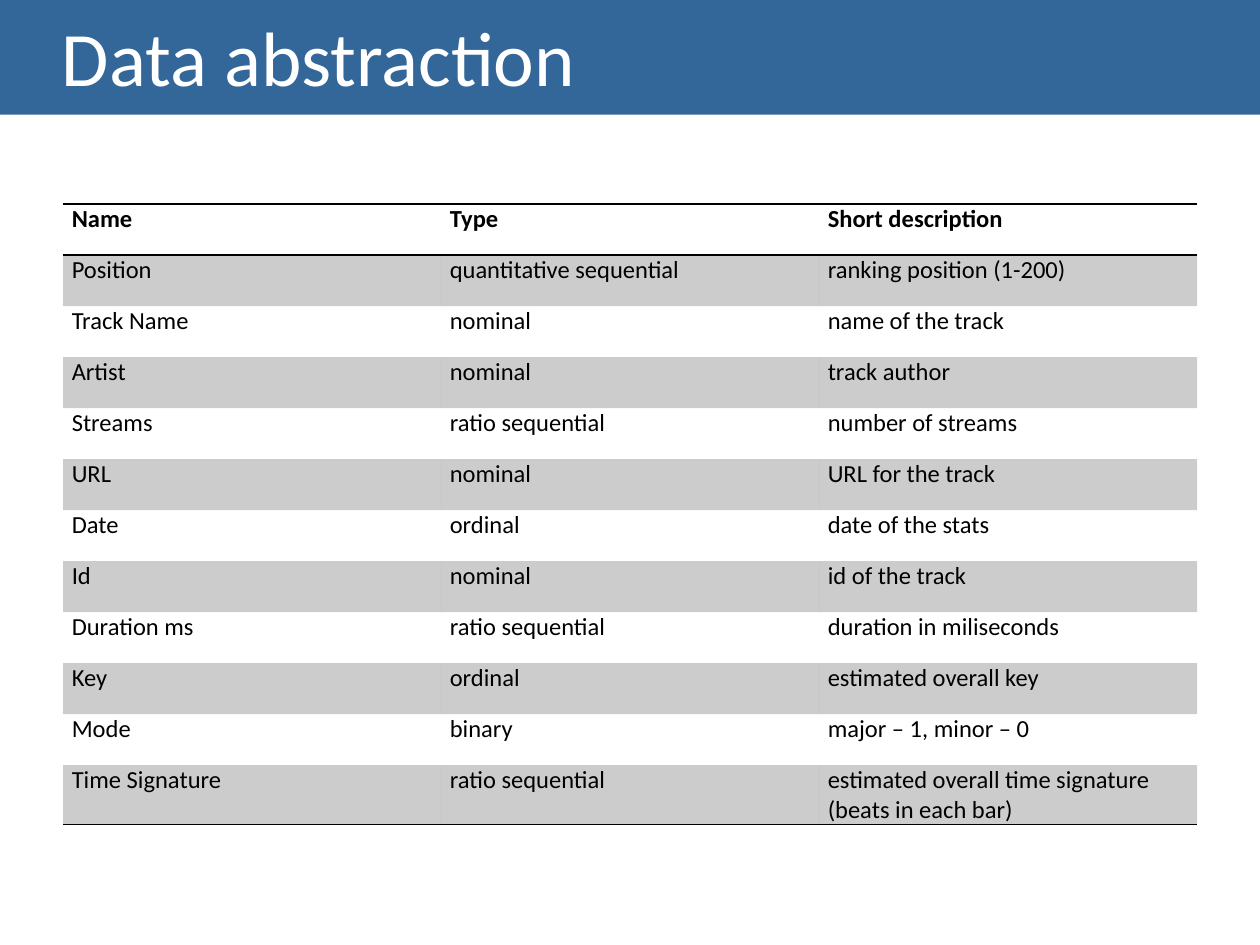
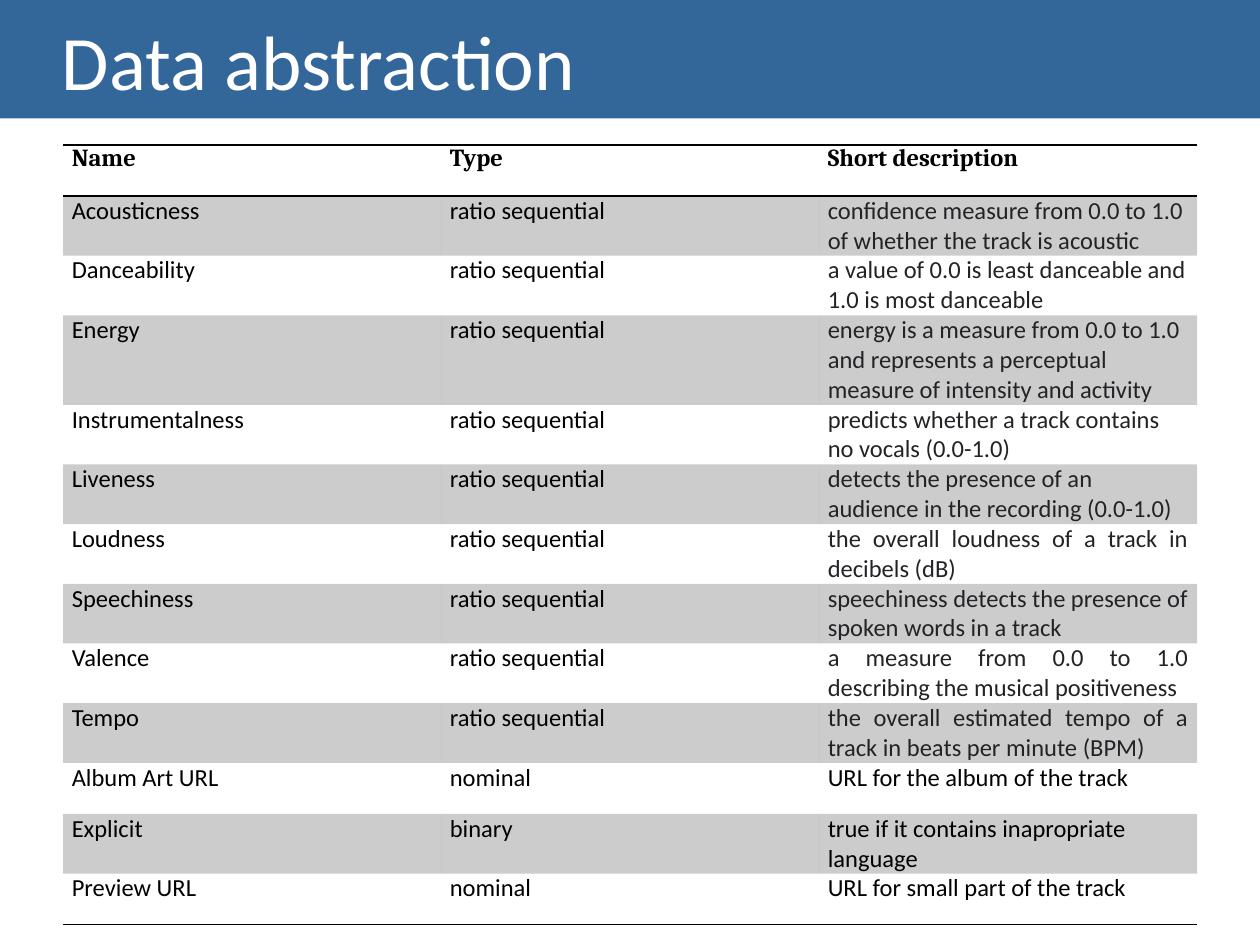
from collections import namedtuple

from lxml.etree import SubElement
from pptx import Presentation
from pptx.dml.color import RGBColor
from pptx.enum.text import MSO_ANCHOR, PP_ALIGN
from pptx.oxml import parse_xml
from pptx.oxml.ns import nsdecls, qn
from pptx.util import Inches, Pt

BLUE, WHITE, BLACK, CHARCOAL = "336699", "FFFFFF", "000000", "222326"
BODY_FONT = "Calibri"
TITLE_SIZE, TABLE_SIZE = 44, 14
BAND_HEIGHT = 0.94
TITLE_INDENT = 0.39
TABLE_LEFT, TABLE_WIDTH = 0.5, 9
CELL_MARGIN = 0.07
RULE_WIDTH = 1
STRIPE_OPACITY = 20
PLAIN_TABLE_STYLE = "{2D5ABB26-0587-4C30-8999-92F81FD0307C}"

LEFT, JUSTIFY = PP_ALIGN.LEFT, PP_ALIGN.JUSTIFY
ALL_LEFT, ALL_JUSTIFIED = (LEFT,) * 3, (JUSTIFY,) * 3

RowGroup = namedtuple("RowGroup", "rows alignments space_after description_color")

HEADER = ("Name", "Type", "Short description")

TRACK_FIELDS = [
    ("Position", "quantitative sequential", "ranking position (1-200)"),
    ("Track Name", "nominal", "name of the track"),
    ("Artist", "nominal", "track author"),
    ("Streams", "ratio sequential", "number of streams"),
    ("URL", "nominal", "URL for the track"),
    ("Date", "ordinal", "date of the stats"),
    ("Id", "nominal", "id of the track"),
    ("Duration ms", "ratio sequential", "duration in miliseconds"),
    ("Key", "ordinal", "estimated overall key"),
    ("Mode", "binary", "major – 1, minor – 0"),
    ("Time Signature", "ratio sequential",
     "estimated overall time signature (beats in each bar)"),
]
CHARACTER_FIELDS = [
    ("Acousticness", "ratio sequential",
     "confidence measure from 0.0 to 1.0 of whether the track is acoustic"),
    ("Danceability", "ratio sequential",
     "a value of 0.0 is least danceable and 1.0 is most danceable"),
    ("Energy", "ratio sequential",
     "energy is a measure from 0.0 to 1.0 and represents a perceptual "
     "measure of intensity and activity"),
    ("Instrumentalness", "ratio sequential",
     "predicts whether a track contains no vocals (0.0-1.0)"),
    ("Liveness", "ratio sequential",
     "detects the presence of an audience in the recording (0.0-1.0)"),
]
SOUND_FIELDS = [
    ("Loudness", "ratio sequential", "the overall loudness of a track in decibels (dB)"),
    ("Speechiness", "ratio sequential",
     "speechiness detects the presence of spoken words in a track"),
    ("Valence", "ratio sequential",
     "a measure from 0.0 to 1.0 describing the musical positiveness"),
    ("Tempo", "ratio sequential",
     "the overall estimated tempo of a track in beats per minute (BPM)"),
]
ALBUM_FIELDS = [("Album Art URL", "nominal", "URL for the album of the track")]
LINK_FIELDS = [
    ("Explicit", "binary", "true if it contains inapropriate language"),
    ("Preview URL", "nominal", "URL for small part of the track"),
]


def color(value):
    return RGBColor.from_string(value)


def add_span(para, text, font, size, text_color, bold=False):
    span = para.add_run()
    span.text = text
    span.font.name = font
    span.font.size = Pt(size)
    span.font.bold = bold
    span.font.color.rgb = color(text_color)


def add_titled_page(deck, title, band_top):
    page = deck.slides.add_slide(deck.slide_layouts[5])
    box = page.shapes.title
    box.left, box.top = 0, Inches(band_top)
    box.width, box.height = deck.slide_width, Inches(BAND_HEIGHT)
    box.fill.solid()
    box.fill.fore_color.rgb = color(BLUE)
    box.text_frame.vertical_anchor = MSO_ANCHOR.MIDDLE
    para = box.text_frame.paragraphs[0]
    para.alignment = LEFT
    para._p.get_or_add_pPr().set("marL", str(Inches(TITLE_INDENT)))
    add_span(para, title, BODY_FONT, TITLE_SIZE, WHITE)
    return page


def shade(cell):
    cell.fill.solid()
    cell.fill.fore_color.rgb = color(BLACK)
    shade_color = cell._tc.tcPr.find(".//" + qn("a:srgbClr"))
    SubElement(shade_color, qn("a:alpha"), val=str(STRIPE_OPACITY * 1000))


def rule(cell, sides):
    properties = cell._tc.get_or_add_tcPr()
    for position, side in enumerate(sides):
        properties.insert(position, parse_xml(
            f'<a:ln{side} {nsdecls("a")} w="{Pt(RULE_WIDTH)}"><a:solidFill>'
            f'<a:srgbClr val="{BLACK}"/></a:solidFill></a:ln{side}>'))


def write_row(row, texts, group, font=BODY_FONT, bold=False):
    colors = (BLACK, BLACK, group.description_color)
    for cell, text, alignment, text_color in zip(row.cells, texts, group.alignments, colors):
        cell.margin_left = cell.margin_right = Inches(CELL_MARGIN)
        cell.margin_top = cell.margin_bottom = 0
        para = cell.text_frame.paragraphs[0]
        para.alignment = alignment
        para.space_after = Pt(group.space_after)
        add_span(para, text, font, TABLE_SIZE, text_color, bold)


def add_field_table(page, top, height, header_font, groups):
    fields = [(texts, group) for group in groups for texts in group.rows]
    frame = page.shapes.add_table(
        len(fields) + 1, len(HEADER),
        Inches(TABLE_LEFT), Inches(top), Inches(TABLE_WIDTH), Inches(height))
    table = frame.table
    table.horz_banding = False
    table._tbl.tblPr.find(qn("a:tableStyleId")).text = PLAIN_TABLE_STYLE

    header, *body = table.rows
    write_row(header, HEADER, RowGroup([], ALL_LEFT, 0, BLACK), header_font, bold=True)
    for number, (row, (texts, group)) in enumerate(zip(body, fields)):
        write_row(row, texts, group)
        if number % 2 == 0:
            for cell in row.cells:
                shade(cell)
    for cell in header.cells:
        rule(cell, "TB")
    for cell in body[-1].cells:
        rule(cell, "B")


def main():
    deck = Presentation()
    deck.slide_width, deck.slide_height = Inches(10), Inches(7.5)

    page = add_titled_page(deck, "Data abstraction", -0.03)
    add_field_table(page, 1.62, 4.86, BODY_FONT,
                    [RowGroup(TRACK_FIELDS, ALL_LEFT, 0, BLACK)])

    page = add_titled_page(deck, "Data abstraction", 0)
    add_field_table(page, 1.15, 5.27, "Cambria", [
        RowGroup(CHARACTER_FIELDS, (LEFT, JUSTIFY, LEFT), 0, CHARCOAL),
        RowGroup(SOUND_FIELDS, ALL_JUSTIFIED, 6, CHARCOAL),
        RowGroup(ALBUM_FIELDS, ALL_JUSTIFIED, 6, BLACK),
        RowGroup(LINK_FIELDS, ALL_LEFT, 6, BLACK),
    ])

    deck.save("out.pptx")


if __name__ == "__main__":
    main()
